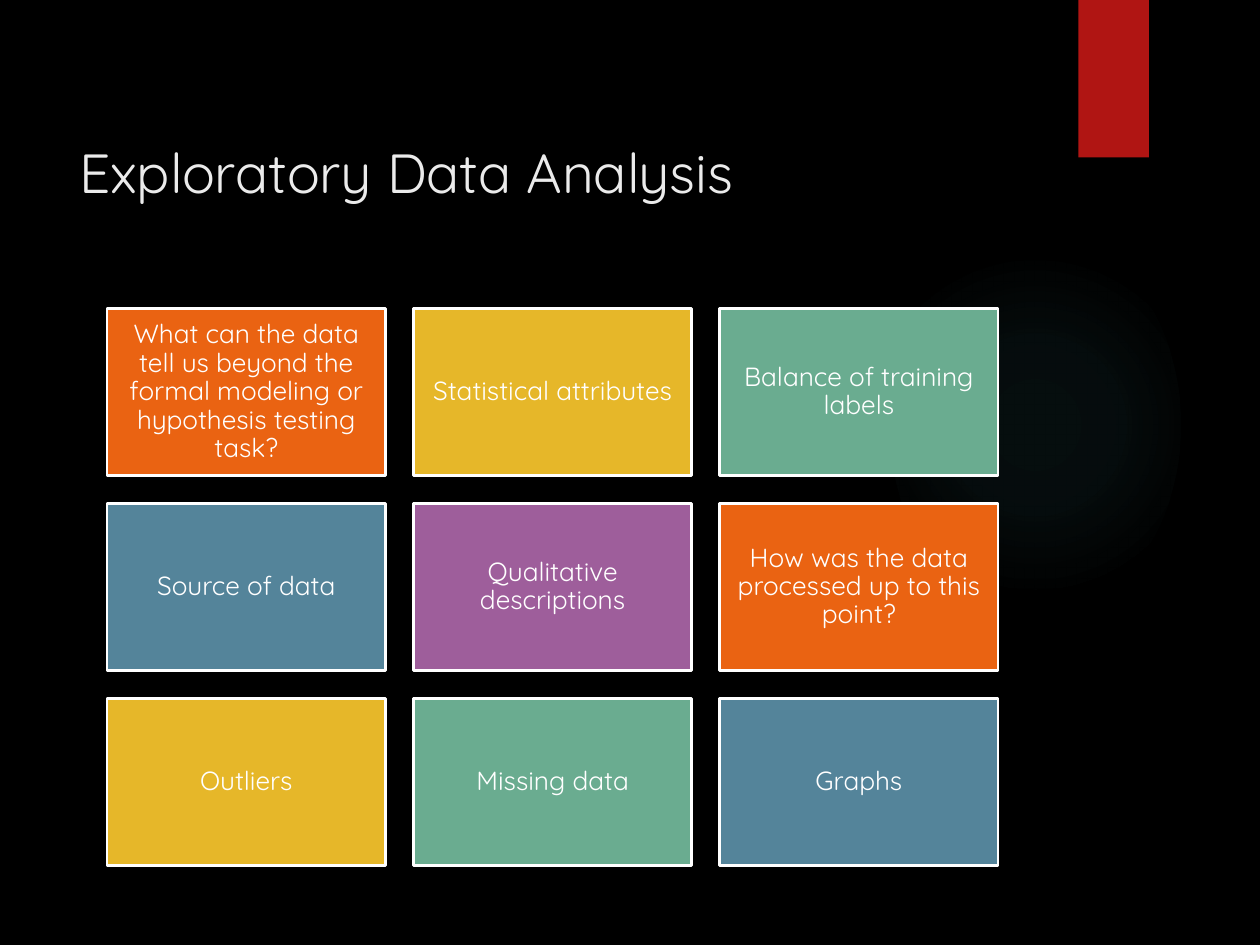
from dataclasses import dataclass
from itertools import cycle

from lxml import etree
from pptx import Presentation
from pptx import util as u
from pptx.dml.color import RGBColor
from pptx.enum import shapes, text
from pptx.oxml import ns


@dataclass(frozen=True)
class Theme:
    font: str = "Quicksand"
    background: str = "000000"
    ribbon: str = "B01513"
    glow: str = "50B9C1"
    title: str = "EBEBEB"
    white: str = "FFFFFF"
    tiles: tuple = ("EA6312", "E6B729", "6AAC90", "54849A", "9E5E9B")
    title_size: float = 31.5
    tile_size: float = 15
    outline: float = 1.5


class SlideBuilder:
    def __init__(self, slide, theme):
        self.slide = slide
        self.theme = theme
        fill = slide.background.fill
        fill.solid()
        fill.fore_color.rgb = RGBColor.from_string(theme.background)

    def shape(self, kind, left, top, width, height, color):
        shape = self.slide.shapes.add_shape(
            kind, u.Inches(left), u.Inches(top), u.Inches(width), u.Inches(height))
        shape.shadow.inherit = False
        shape.fill.solid()
        shape.fill.fore_color.rgb = RGBColor.from_string(color)
        shape.line.fill.background()
        return shape

    def add_words(self, frame, words, size, color, align):
        frame.word_wrap = True
        para = frame.paragraphs[0]
        para.alignment = align
        span = para.add_run()
        span.text = words
        span.font.name = self.theme.font
        span.font.size = u.Pt(size)
        span.font.color.rgb = RGBColor.from_string(color)
        return para

    def glow(self, left, top, width, height, stops):
        oval = self.shape(shapes.MSO_SHAPE.OVAL, left, top, width, height, self.theme.glow)
        solid = oval.element.spPr.find(ns.qn("a:solidFill"))
        gradient = etree.Element(ns.qn("a:gradFill"), rotWithShape="1")
        stop_list = etree.SubElement(gradient, ns.qn("a:gsLst"))
        for position, opacity in stops:
            stop = etree.SubElement(stop_list, ns.qn("a:gs"), pos=str(position * 1000))
            color = etree.SubElement(stop, ns.qn("a:srgbClr"), val=self.theme.glow)
            etree.SubElement(color, ns.qn("a:alpha"), val=str(opacity * 1000))
        radial = etree.SubElement(gradient, ns.qn("a:path"), {"path": "circle"})
        etree.SubElement(radial, ns.qn("a:fillToRect"), l="50000", t="50000", r="50000", b="50000")
        solid.getparent().replace(solid, gradient)

    def ribbon(self, left, top, width, height):
        self.shape(shapes.MSO_SHAPE.RECTANGLE, left, top, width, height, self.theme.ribbon)

    def title(self, words, left, top, width, height):
        box = self.slide.shapes.add_textbox(
            u.Inches(left), u.Inches(top), u.Inches(width), u.Inches(height))
        box.text_frame.margin_top = u.Inches(0.6)
        self.add_words(box.text_frame, words, self.theme.title_size,
                       self.theme.title, text.PP_ALIGN.LEFT)

    def tile(self, words, left, top, width, height, color):
        box = self.shape(shapes.MSO_SHAPE.RECTANGLE, left, top, width, height, color)
        box.line.color.rgb = RGBColor.from_string(self.theme.white)
        box.line.width = u.Pt(self.theme.outline)
        frame = box.text_frame
        frame.vertical_anchor = text.MSO_ANCHOR.MIDDLE
        frame.margin_left = frame.margin_right = u.Inches(0.06)
        frame.margin_top = frame.margin_bottom = u.Inches(0.06)
        para = self.add_words(frame, words, self.theme.tile_size,
                              self.theme.white, text.PP_ALIGN.CENTER)
        para.line_spacing = 0.9

    def tile_grid(self, topics, left, top, width, columns):
        height = width * 0.6
        gap = width * 0.1
        for index, (words, color) in enumerate(zip(topics, cycle(self.theme.tiles))):
            row, column = divmod(index, columns)
            self.tile(words, left + column * (width + gap),
                      top + row * (height + gap), width, height, color)


TOPICS = [
    "What can the data tell us beyond the formal modeling or hypothesis testing task?",
    "Statistical attributes",
    "Balance of training labels",
    "Source of data",
    "Qualitative descriptions",
    "How was the data processed up to this point?",
    "Outliers",
    "Missing data",
    "Graphs",
]


def main():
    deck = Presentation()
    deck.slide_width = u.Inches(10)
    deck.slide_height = u.Inches(7.5)
    page = SlideBuilder(deck.slides.add_slide(deck.slide_layouts[6]), Theme())
    page.glow(7.06, 1.83, 2.31, 3.08, [(0, 7), (36, 6), (69, 0)])
    page.ribbon(8.56, 0, 0.56, 1.25)
    page.title("Exploratory Data Analysis", 0.53, 0.5, 7.71, 1.53)
    page.tile_grid(TOPICS, 0.85, 2.45, 2.21, columns=3)
    deck.save("out.pptx")


if __name__ == "__main__":
    main()
